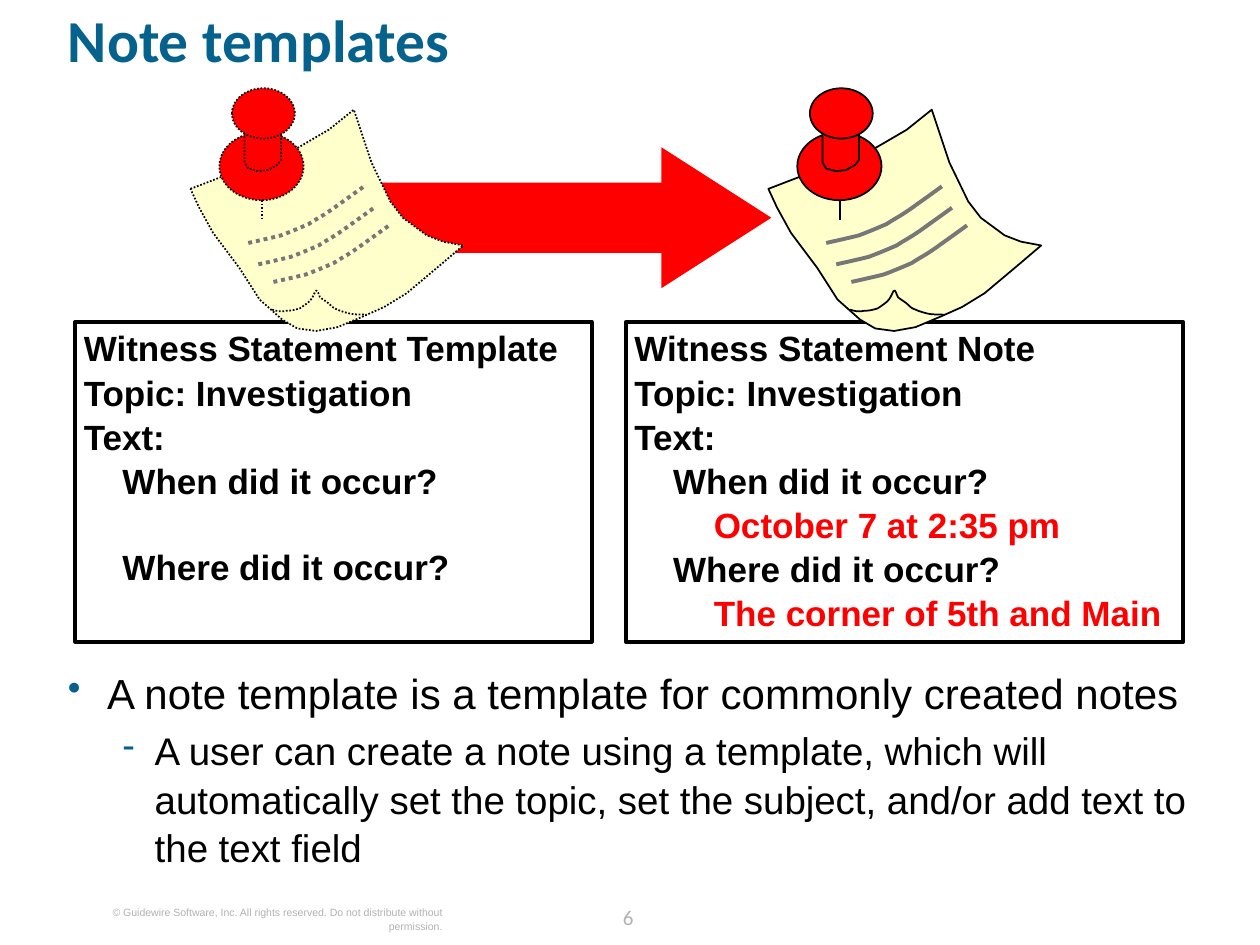
from collections import namedtuple
from dataclasses import dataclass

from lxml import etree
from pptx import Presentation
from pptx import util as u
from pptx.dml.color import RGBColor
from pptx.enum import dml, shapes, text
from pptx.oxml import ns

Box = namedtuple("Box", "left top width height")


@dataclass(frozen=True)
class Theme:
    heading: str = "Calibri"
    body: str = "Arial"
    blue: str = "04628C"
    black: str = "000000"
    red: str = "FF0000"
    paper: str = "FFFFCC"
    writing: str = "777777"
    footer: str = "B2B2B2"
    title_size: float = 34
    bullet_size: float = 24
    detail_size: float = 22
    card_size: float = 20
    number_size: float = 12
    copyright_size: float = 6
    thin: float = 1
    thick: float = 2.25
    spacing: float = 1.05


THEME = Theme()

# The pinned note is drawn on a grid 217 units wide; curves list Bezier points
NOTE_GRID = 217
PAPER = [(0, 80), (86, 47), (110, 33), (130, 17), (144, 59), (159, 90), (169, 103),
         (188, 117), (201, 122), (217, 125), (197, 142), (172, 163), (154, 174),
         (136, 182), (117, 190), (100, 193), (85, 191), (73, 184), (55, 168),
         (39, 143), (18, 115), (7, 95)]
PIN_NECK = [(43, 30), (43, 59), (46, 64), (54, 66), (62, 65), (69, 61), (72, 57), (72, 27)]
PIN_BASE = (23, 35, 67, 54)
PIN_HEAD = (33, 0, 50, 40)
NEEDLE = (57, 89, 57, 105)
WRITING = [(46, 123), (55, 121), (64, 119), (72, 117), (80, 114), (87, 111), (94, 108),
           (100, 104), (106, 101), (113, 96), (120, 91), (134, 81), (138, 78)]
WRITING_SHIFTS = [(0, 0), (8, 17), (20, 31)]
CURL = [(65, 176), (68, 177), (72, 178), (76, 177), (80, 177), (84, 176), (87, 175),
        (90, 173), (93, 171), (95, 169), (98, 166), (99, 161), (100, 161), (101, 160),
        (102, 164), (103, 166), (105, 168), (109, 170), (111, 172), (113, 174),
        (114, 175), (117, 176), (119, 177), (122, 178), (126, 179), (130, 180),
        (135, 180), (140, 180)]


def box_cm(*lengths):
    return Box(*(u.Cm(length) for length in lengths))


def rgb(color):
    return RGBColor.from_string(color)


def style_line(shape, color, width, dotted=False):
    shape.line.color.rgb = rgb(color)
    shape.line.width = u.Pt(width)
    if dotted:
        shape.line.dash_style = dml.MSO_LINE.ROUND_DOT


def style_shape(shape, fill=None, line=None, width=THEME.thin, dotted=False):
    shape.shadow.inherit = False
    if fill:
        shape.fill.solid()
        shape.fill.fore_color.rgb = rgb(fill)
    else:
        shape.fill.background()
    if line:
        style_line(shape, line, width, dotted)
    else:
        shape.line.fill.background()


def style_text(paragraph, size, color, font=THEME.body, bold=False, spacing=THEME.spacing):
    paragraph.line_spacing = spacing
    paragraph.font.name = font
    paragraph.font.size = u.Pt(size)
    paragraph.font.bold = bold
    paragraph.font.color.rgb = rgb(color)


def clear_frame(frame):
    frame.word_wrap = True
    frame.auto_size = text.MSO_AUTO_SIZE.NONE
    frame.vertical_anchor = text.MSO_ANCHOR.TOP
    frame.margin_left = frame.margin_top = frame.margin_right = frame.margin_bottom = 0
    return frame


def add_frame(slide, box):
    return clear_frame(slide.shapes.add_textbox(*box).text_frame)


def next_paragraph(frame, index):
    return frame.add_paragraph() if index else frame.paragraphs[0]


def set_indent(paragraph, left, first=0):
    properties = paragraph._p.get_or_add_pPr()
    properties.set("marL", str(u.Cm(left)))
    properties.set("indent", str(u.Cm(first)))
    return properties


def sample_curve(points, steps=6):
    """Turn a chain of cubic Bezier segments into a fine polyline."""
    result = [points[0]]
    for start in range(0, len(points) - 1, 3):
        a, b, c, d = points[start:start + 4]
        for step in range(1, steps + 1):
            t = step / steps
            s = 1 - t
            result.append(tuple(s**3 * a[i] + 3 * s * s * t * b[i] + 3 * s * t * t * c[i]
                                + t**3 * d[i] for i in (0, 1)))
    return result


def add_title(slide, box, words):
    title = slide.shapes.title
    title.left, title.top, title.width, title.height = box
    paragraph = clear_frame(title.text_frame).paragraphs[0]
    paragraph.text = words
    paragraph.alignment = text.PP_ALIGN.LEFT
    style_text(paragraph, THEME.title_size, THEME.blue, THEME.heading, True, 0.8)


def add_arrow(slide, box):
    arrow = slide.shapes.add_shape(shapes.MSO_SHAPE.RIGHT_ARROW, *box)
    arrow.adjustments[0], arrow.adjustments[1] = 0.5, 0.78
    style_shape(arrow, THEME.red)


def add_card(slide, box, lines):
    """Framed text; each line is (words, indent, color, blank lines above)."""
    inset = u.Cm(0.17)
    frame = add_frame(slide, Box(box.left + inset, box.top + u.Cm(0.06),
                                 box.width - inset, box.height - inset))
    for index, (words, indent, color, gap) in enumerate(lines):
        paragraph = next_paragraph(frame, index)
        paragraph.text = words
        set_indent(paragraph, indent)
        if gap:
            paragraph.space_before = u.Pt(gap * THEME.card_size * 1.2)
        style_text(paragraph, THEME.card_size, color, bold=True)
    border = slide.shapes.add_shape(shapes.MSO_SHAPE.RECTANGLE, *box)
    style_shape(border, line=THEME.black, width=THEME.thick)


def add_pinned_note(slide, box, dotted):
    parts = slide.shapes.add_group_shape().shapes
    unit = box.width / NOTE_GRID

    def place(x, y):
        return round(box.left + x * unit), round(box.top + y * unit)

    def outline(points, closed, fill=None, line=THEME.black, width=THEME.thin):
        first, *others = [place(*point) for point in points]
        builder = parts.build_freeform(*first)
        builder.add_line_segments(others, close=closed)
        style_shape(builder.convert_to_shape(), fill, line, width, dotted)

    def ellipse(x, y, width, height):
        oval = parts.add_shape(shapes.MSO_SHAPE.OVAL, *place(x, y),
                               round(width * unit), round(height * unit))
        style_shape(oval, THEME.red, THEME.black, dotted=dotted)

    # Paper, lower pin and needle
    outline(PAPER, True, THEME.paper)
    ellipse(*PIN_BASE)
    outline(PIN_NECK, True, THEME.red)
    needle = parts.add_connector(shapes.MSO_CONNECTOR.STRAIGHT,
                                 *place(*NEEDLE[:2]), *place(*NEEDLE[2:]))
    style_line(needle, THEME.black, THEME.thin, dotted)
    etree.SubElement(needle._element.spPr, ns.qn("a:effectLst"))
    # Writing, curled edge and pin head
    for right, down in WRITING_SHIFTS:
        stroke = [(x + right, y + down) for x, y in sample_curve(WRITING)]
        outline(stroke, False, line=THEME.writing, width=THEME.thick)
    outline(sample_curve(CURL), False)
    ellipse(*PIN_HEAD)


def add_bullets(slide, box, items):
    """Each item is (words, mark, left indent, hanging indent, size, space before)."""
    frame = add_frame(slide, box)
    for index, (words, mark, left, hanging, size, before) in enumerate(items):
        paragraph = next_paragraph(frame, index)
        paragraph.text = words
        properties = set_indent(paragraph, left, -hanging)
        color = etree.SubElement(properties, ns.qn("a:buClr"))
        etree.SubElement(color, ns.qn("a:srgbClr"), val=THEME.blue)
        etree.SubElement(properties, ns.qn("a:buSzPct"), val="90000")
        etree.SubElement(properties, ns.qn("a:buChar"), char=mark)
        if before:
            paragraph.space_before = u.Pt(before)
        style_text(paragraph, size, THEME.black)


def add_footer(slide, box, words, alignment, size, font, spacing):
    paragraph = add_frame(slide, box).paragraphs[0]
    paragraph.text = words
    paragraph.alignment = alignment
    style_text(paragraph, size, THEME.footer, font, spacing=spacing)


def main():
    presentation = Presentation()
    presentation.slide_width, presentation.slide_height = u.Cm(25.4), u.Cm(19.05)
    slide = presentation.slides.add_slide(presentation.slide_layouts[5])
    black, red = THEME.black, THEME.red
    common = [("Topic: Investigation", 0, black, 0), ("Text:", 0, black, 0),
              ("When did it occur?", 0.78, black, 0)]
    where = "Where did it occur?"

    add_footer(slide, box_cm(11.94, 18.11, 1.45, 0.64), "6", text.PP_ALIGN.CENTER,
               THEME.number_size, THEME.heading, u.Pt(18))
    add_footer(slide, box_cm(1.55, 18.26, 7.37, 0.6),
               "© Guidewire Software, Inc. All rights reserved. "
               "Do not distribute without permission.", text.PP_ALIGN.RIGHT,
               THEME.copyright_size, THEME.body, THEME.spacing)
    add_arrow(slide, box_cm(6.71, 2.97, 8.84, 2.84))
    add_title(slide, box_cm(1.37, 0.33, 23.11, 2.06), "Note templates")
    add_bullets(slide, box_cm(1.37, 13.41, 23.11, 4.83), [
        ("A note template is a template for commonly created notes",
         "•", 0.79, 0.79, THEME.bullet_size, 0),
        ("A user can create a note using a template, which will automatically set "
         "the topic, set the subject, and/or add text to the text field",
         "-", 1.75, 0.64, THEME.detail_size, 4)])
    add_card(slide, box_cm(1.52, 6.49, 10.41, 6.45), [
        ("Witness Statement Template", 0, black, 0), *common, (where, 0.78, black, 1)])
    add_card(slide, box_cm(12.62, 6.49, 11.23, 6.45), [
        ("Witness Statement Note", 0, black, 0), *common,
        ("October 7 at 2:35 pm", 1.6, red, 0), (where, 0.78, black, 0),
        ("The corner of 5th and Main", 1.6, red, 0)])
    for left, dotted in [(3.84, True), (15.49, False)]:
        add_pinned_note(slide, box_cm(left, 1.78, 5.5, 4.9), dotted)
    presentation.save("out.pptx")


if __name__ == "__main__":
    main()
